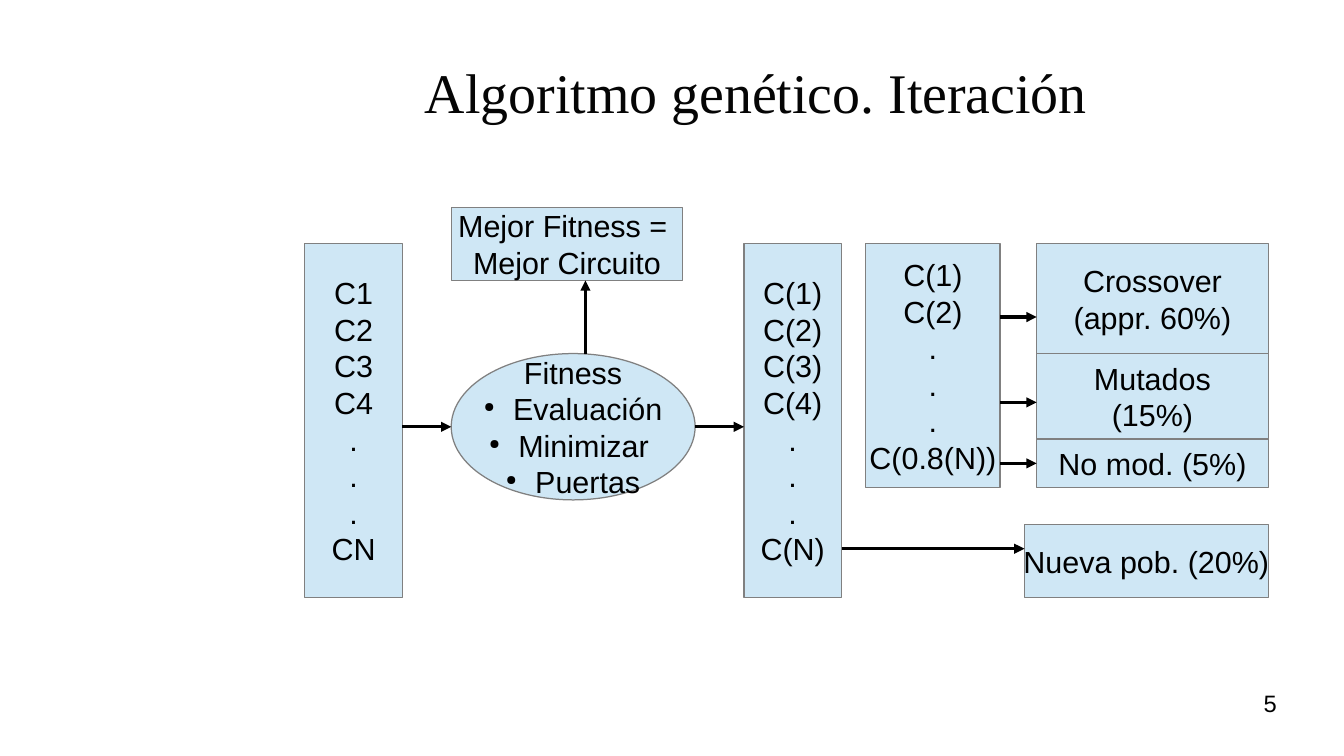
from dataclasses import dataclass

from lxml.etree import SubElement
from pptx import Presentation
from pptx.dml.color import RGBColor
from pptx.enum.shapes import MSO_CONNECTOR, MSO_SHAPE as Shape
from pptx.enum.text import MSO_ANCHOR as Anchor, PP_ALIGN as Align
from pptx.oxml.ns import qn
from pptx.slide import Slide
from pptx.text.text import TextFrame
from pptx.util import Inches, Pt

BLACK, GREY, PALE_BLUE = "000000", "808080", "CFE7F5"
DOTS = (".",) * 3


@dataclass
class Node:
    left: float
    top: float
    width: float
    height: float
    lines: tuple[str, ...]
    bullets: tuple[str, ...] = ()
    shape: Shape = Shape.RECTANGLE


@dataclass
class Arrow:
    x1: float
    y1: float
    x2: float
    y2: float


NODES = [
    Node(2.5, 2, 0.8, 2.9, ("C1", "C2", "C3", "C4", *DOTS, "CN")),
    Node(3.7, 2.9, 2, 1.2, ("Fitness",),
         ("Evaluación", "Minimizar ", "Puertas"), Shape.OVAL),
    Node(3.7, 1.7, 1.9, 0.6, ("Mejor Fitness = ", "Mejor Circuito")),
    Node(6.1, 2, 0.8, 2.9, ("C(1)", "C(2)", "C(3)", "C(4)", *DOTS, "C(N)")),
    Node(7.1, 2, 1.1, 2, ("C(1)", "C(2)", *DOTS, "C(0.8(N))")),
    Node(8.4, 4.3, 2, 0.6, ("Nueva pob. (20%)",)),
    Node(8.5, 2, 1.9, 0.9, ("Crossover", "(appr. 60%)")),
    Node(8.5, 2.9, 1.9, 0.7, ("Mutados", "(15%)")),
    Node(8.5, 3.6, 1.9, 0.4, ("No mod. (5%)",)),
]

ARROWS = [
    Arrow(3.3, 3.5, 3.7, 3.5),
    Arrow(5.7, 3.5, 6.1, 3.5),
    Arrow(4.8, 2.9, 4.8, 2.3),
    *(Arrow(8.2, y, 8.5, y) for y in (2.6, 3.3, 3.8)),
    Arrow(6.9, 4.5, 8.4, 4.5),
]


def rgb(color: str) -> RGBColor:
    return RGBColor.from_string(color)


def add_bullet(p) -> None:
    pPr = p._p.get_or_add_pPr()
    pPr.set("marL", str(Inches(0.24)))
    pPr.set("indent", str(Inches(-0.24)))
    SubElement(SubElement(pPr, qn("a:buClr")), qn("a:srgbClr"), val=BLACK)
    SubElement(pPr, qn("a:buSzPct"), val="45000")
    SubElement(pPr, qn("a:buChar"), char="●")


def write(tf: TextFrame, lines: tuple[str, ...], *, bullets: tuple[str, ...] = (),
          size: float = 18, font: str = "Arial", color: str = BLACK,
          align: Align = Align.CENTER, anchor: Anchor = Anchor.MIDDLE,
          wrap: bool = False, inset: tuple[float, float] = (0.1, 0.05)) -> None:
    tf.word_wrap = wrap
    tf.vertical_anchor = anchor
    tf.margin_left = tf.margin_right = Inches(inset[0])
    tf.margin_top = tf.margin_bottom = Inches(inset[1])
    for i, text in enumerate(lines + bullets):
        p = tf.paragraphs[0] if i == 0 else tf.add_paragraph()
        p.alignment = align
        if i >= len(lines):
            add_bullet(p)
        r = p.add_run()
        r.text = text
        r.font.size = Pt(size)
        r.font.name = font
        r.font.color.rgb = rgb(color)


def add_node(s: Slide, node: Node) -> None:
    sp = s.shapes.add_shape(node.shape, Inches(node.left), Inches(node.top),
                            Inches(node.width), Inches(node.height))
    sp.shadow.inherit = False
    sp.fill.solid()
    sp.fill.fore_color.rgb = rgb(PALE_BLUE)
    sp.line.color.rgb = rgb(GREY)
    sp.line.width = Pt(0)
    write(sp.text_frame, node.lines, bullets=node.bullets)


def add_arrow(s: Slide, arrow: Arrow) -> None:
    cxn = s.shapes.add_connector(MSO_CONNECTOR.STRAIGHT,
                                 Inches(arrow.x1), Inches(arrow.y1),
                                 Inches(arrow.x2), Inches(arrow.y2))
    cxn.line.color.rgb = rgb(BLACK)
    cxn.line.width = Pt(0)
    SubElement(cxn.line._get_or_add_ln(), qn("a:tailEnd"), type="triangle")
    SubElement(cxn._element.spPr, qn("a:effectLst"))


def add_label(s: Slide, text: str, left: float, top: float,
              width: float, height: float, **style) -> None:
    tb = s.shapes.add_textbox(Inches(left), Inches(top),
                              Inches(width), Inches(height))
    write(tb.text_frame, (text,), wrap=True, inset=(0, 0), **style)


def main() -> None:
    prs = Presentation()
    prs.slide_width, prs.slide_height = Inches(11.02), Inches(6.2)
    s = prs.slides.add_slide(prs.slide_layouts[6])
    add_label(s, "Algoritmo genético. Iteración", 1.77, 0.24, 8.86, 1.02,
              size=33, font="Times New Roman", color="050505")
    for node in NODES:
        add_node(s, node)
    for arrow in ARROWS:
        add_arrow(s, arrow)
    add_label(s, "5", 7.9, 5.65, 2.57, 0.43,
              size=14, align=Align.RIGHT, anchor=Anchor.TOP)
    prs.save("out.pptx")


if __name__ == "__main__":
    main()
